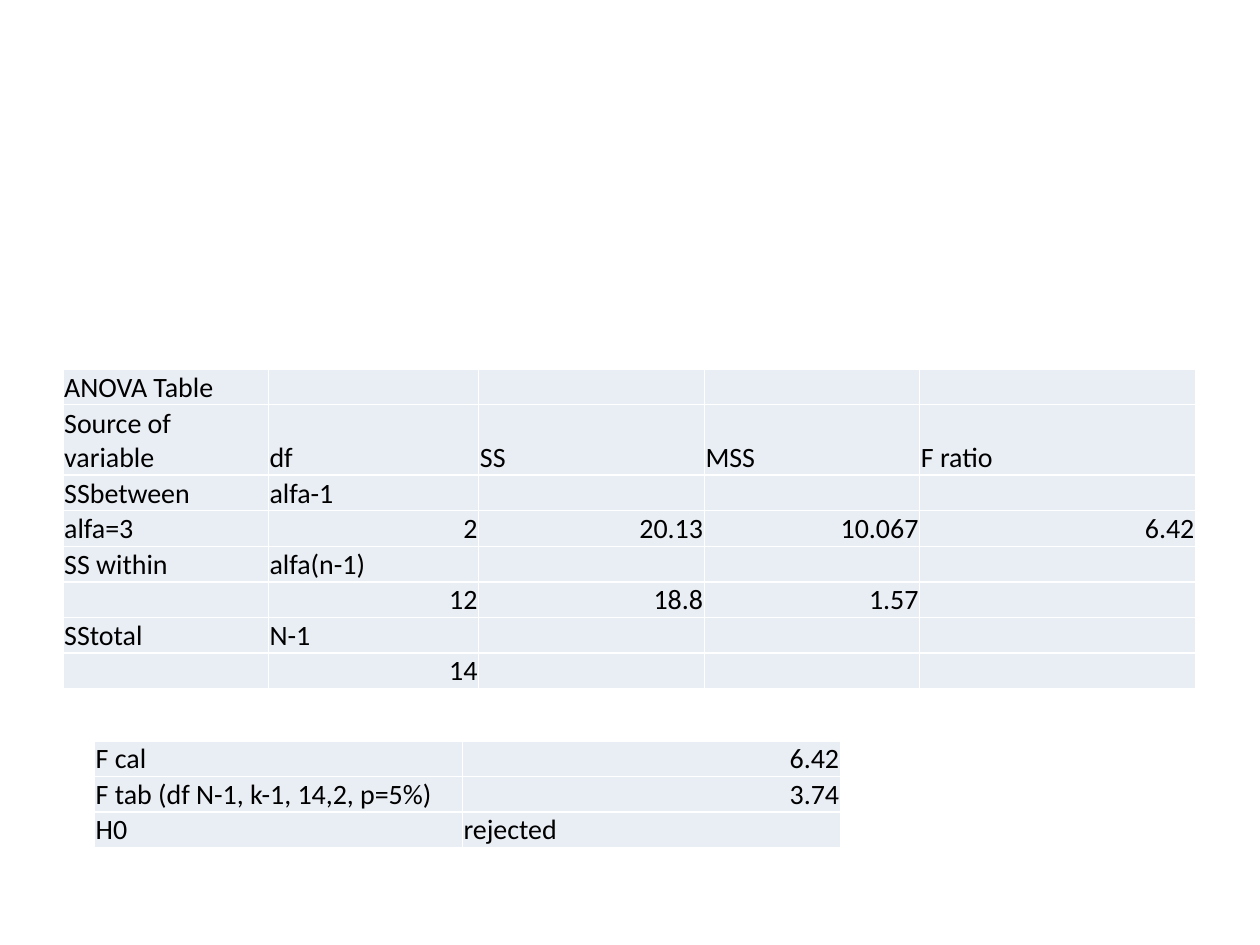
from lxml.etree import SubElement
from pptx import Presentation
from pptx.dml.color import RGBColor
from pptx.enum.text import MSO_ANCHOR, PP_ALIGN
from pptx.oxml.ns import qn
from pptx.util import Inches, Pt

# Content
ANOVA_ROWS = [
    ["ANOVA Table", "", "", "", ""],
    ["Source of variable", "df", "SS", "MSS", "F ratio"],
    ["SSbetween", "alfa-1", "", "", ""],
    ["alfa=3", "2", "20.13", "10.067", "6.42"],
    ["SS within", "alfa(n-1)", "", "", ""],
    ["", "12", "18.8", "1.57", ""],
    ["SStotal", "N-1", "", "", ""],
    ["", "14", "", "", ""],
]
TEST_ROWS = [
    ["F cal", "6.42"],
    ["F tab (df N-1, k-1, 14,2, p=5%)", "3.74"],
    ["H0", "rejected"],
]
ANOVA_COLUMNS = [1.63, 1.67, 1.79, 1.71, 2.19]
TEST_COLUMNS = [2.92, 3]
LINE_HEIGHT = 0.28
FONT_SIZE = 16


def color(value):
    return RGBColor.from_string(value)


def add_borders(cell):
    properties = cell._tc.get_or_add_tcPr()
    for side in ("lnL", "lnR", "lnT", "lnB"):
        line = SubElement(properties, qn(f"a:{side}"), w=str(Pt(1)))
        fill = SubElement(line, qn("a:solidFill"))
        SubElement(fill, qn("a:srgbClr"), val="FFFFFF")


def format_cell(cell, text):
    add_borders(cell)
    cell.fill.solid()
    cell.fill.fore_color.rgb = color("E9EDF4")
    cell.margin_left = cell.margin_right = cell.margin_top = Inches(0.01)
    cell.margin_bottom = 0
    cell.vertical_anchor = MSO_ANCHOR.BOTTOM
    cell.text = text
    para = cell.text_frame.paragraphs[0]
    is_number = text.replace(".", "").isdigit()
    para.alignment = PP_ALIGN.RIGHT if is_number else PP_ALIGN.LEFT
    para.font.name = "Calibri"
    para.font.size = Pt(FONT_SIZE)
    para.font.color.rgb = color("000000")
    if not text:  # keeps empty cells at the same line height
        SubElement(para._p, qn("a:endParaRPr"), sz=str(FONT_SIZE * 100))


def add_grid(page, left, top, widths, rows, tall_rows=()):
    heights = [LINE_HEIGHT * (2 if i in tall_rows else 1) for i in range(len(rows))]
    frame = page.shapes.add_table(
        len(rows), len(widths), Inches(left), Inches(top),
        Inches(sum(widths)), Inches(sum(heights)))
    table = frame.table
    table.first_row = table.horz_banding = False
    for column, width in zip(table.columns, widths):
        column.width = Inches(width)
    for row, height, texts in zip(table.rows, heights, rows):
        row.height = Inches(height)
        for cell, text in zip(row.cells, texts):
            format_cell(cell, text)


def main():
    deck = Presentation()
    deck.slide_width, deck.slide_height = Inches(10), Inches(7.5)
    page = deck.slides.add_slide(deck.slide_layouts[6])

    # Analysis of variance, then the test result
    add_grid(page, 0.5, 2.93, ANOVA_COLUMNS, ANOVA_ROWS, tall_rows=(1,))
    add_grid(page, 0.75, 5.88, TEST_COLUMNS, TEST_ROWS)
    deck.save("out.pptx")


if __name__ == "__main__":
    main()
